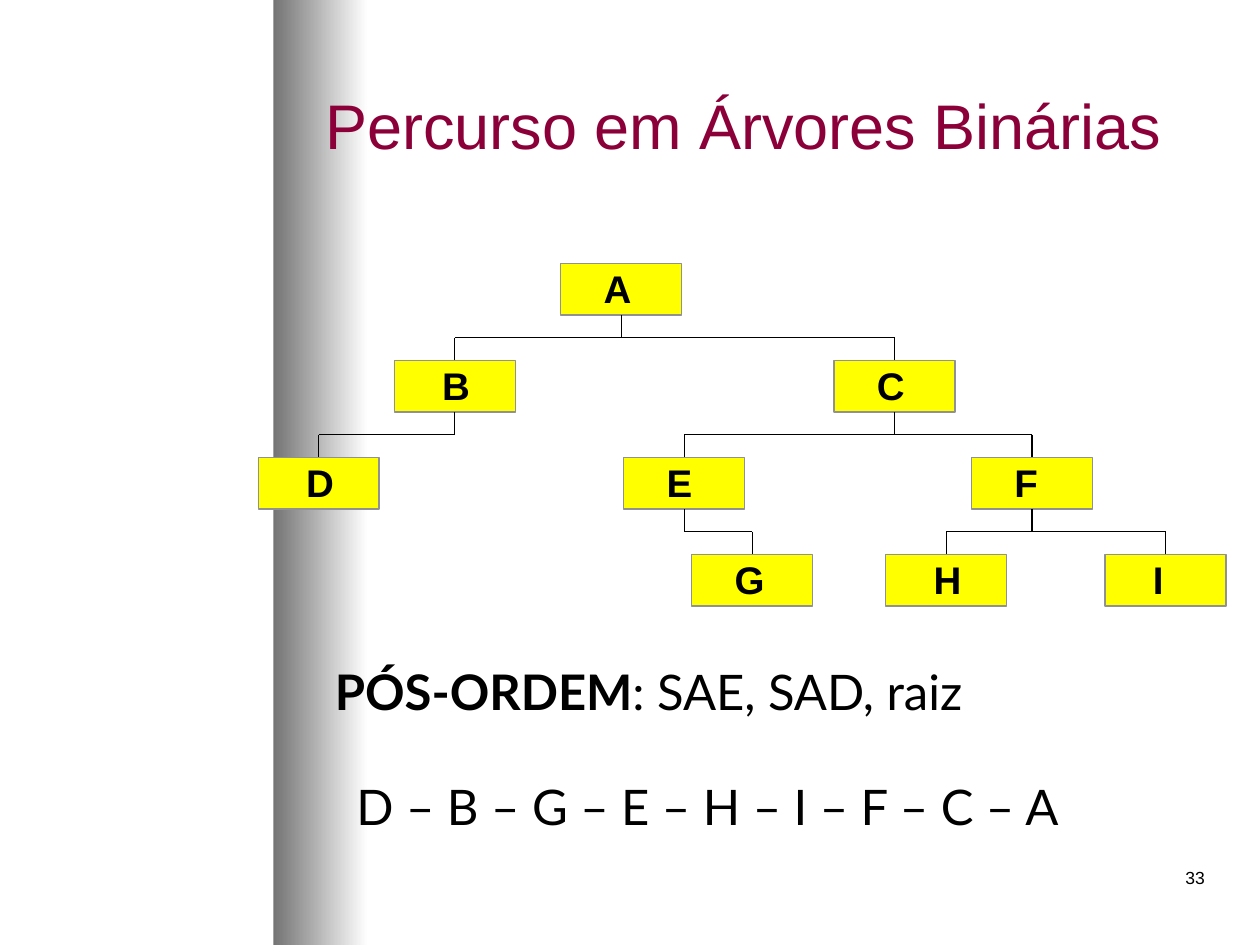
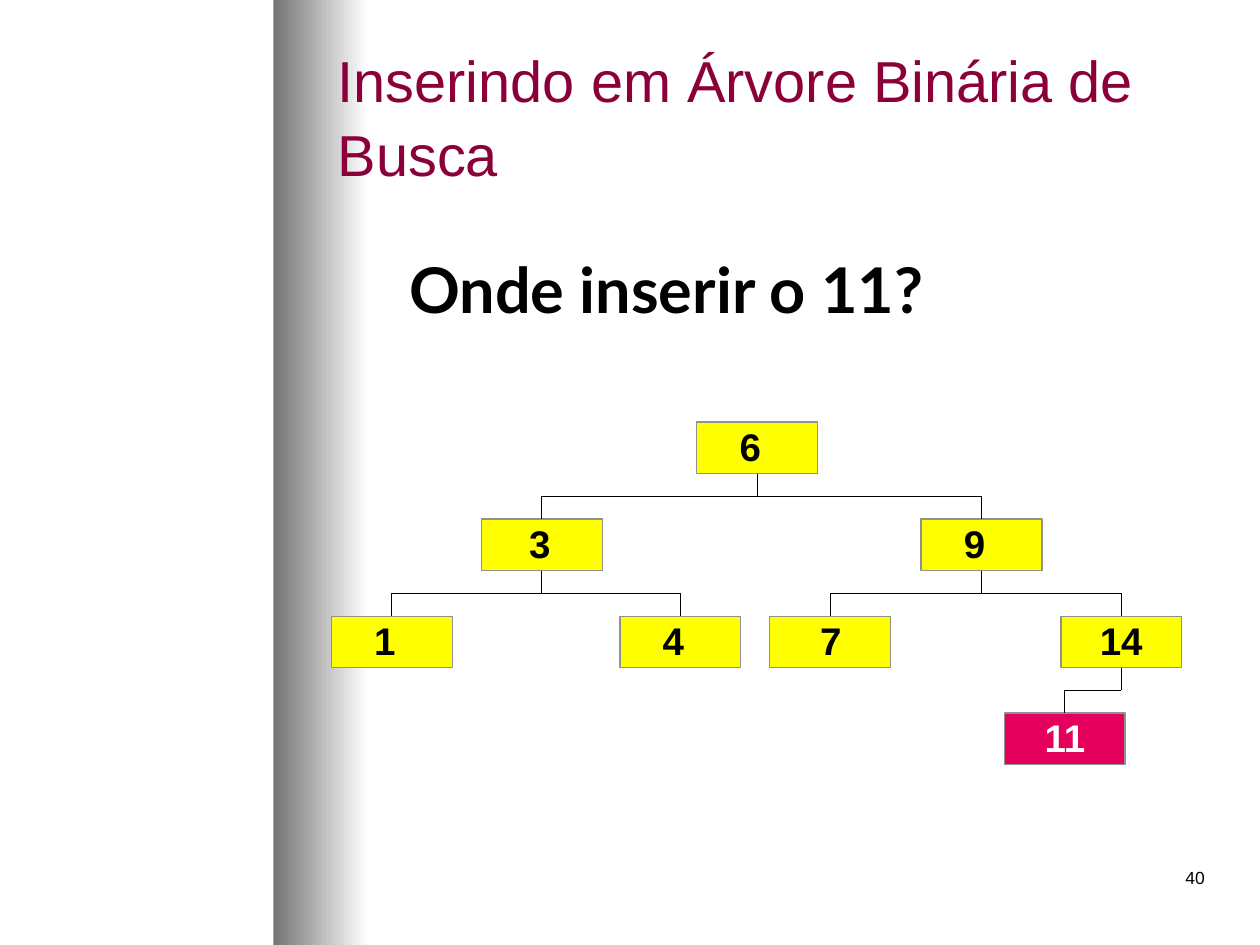
from dataclasses import dataclass

import lxml.etree
import pptx
import pptx.dml.color
import pptx.enum.shapes
import pptx.enum.text
import pptx.oxml.ns
import pptx.util

Inches = pptx.util.Inches
PP_ALIGN = pptx.enum.text.PP_ALIGN
ANCHOR = pptx.enum.text.MSO_ANCHOR


@dataclass(frozen=True)
class Theme:
    """Colours, fonts and sizes shared by the slides."""
    ink: str = "000000"
    paper: str = "FFFFFF"
    title: str = "8C0039"
    band: str = "747474"
    node: str = "FFFF00"
    new_node: str = "E4005C"
    node_line: str = "919191"
    heading_font: str = "Arial"
    body_font: str = "Lato"
    title_size: int = 36
    long_title_size: int = 33
    question_size: int = 36
    body_size: int = 28
    node_size: int = 22
    number_size: int = 10
    line_width: float = 0.75
    node_width: float = 0.96
    node_height: float = 0.41
    level_step: float = 0.77


@dataclass(frozen=True)
class Box:
    """A region in inches."""
    left: float
    top: float
    width: float
    height: float

    def lengths(self):
        """Return the region as lengths."""
        return [Inches(value) for value in (self.left, self.top, self.width, self.height)]


@dataclass(frozen=True)
class Node:
    """A tree node: its place in the tree, its parent and its text inset."""
    label: str
    left: float
    level: int
    parent: str = ""
    inset: float = 0.34
    is_new: bool = False


THEME = Theme()
PAGE = Box(0, 0, 10, 7.5)

TRAVERSAL_NODES = [
    Node("A", 2.4, 0),
    Node("B", 1.08, 1, "A", 0.38),
    Node("C", 4.57, 1, "A"),
    Node("D", 0, 2, "B", 0.38),
    Node("E", 2.9, 2, "C"),
    Node("F", 5.66, 2, "C"),
    Node("G", 3.44, 3, "E"),
    Node("H", 4.98, 3, "F", 0.38),
    Node("I", 6.72, 3, "F", 0.38),
]
SEARCH_NODES = [
    Node("6", 2.9, 0),
    Node("3", 1.19, 1, "6", 0.38),
    Node("9", 4.68, 1, "6"),
    Node("1", 0, 2, "3"),
    Node("4", 2.29, 2, "3"),
    Node("7", 3.48, 2, "9", 0.4),
    Node("14", 5.79, 2, "9", 0.31),
    Node("11", 5.34, 3, "14", 0.32, is_new=True),
]


def rgb(value):
    """Turn a hexadecimal string into a colour."""
    return pptx.dml.color.RGBColor.from_string(value)


def write_text(frame, text, *, size, font=THEME.heading_font, color=THEME.ink, bold=False,
               bold_lead="", align=PP_ALIGN.LEFT, anchor=ANCHOR.TOP,
               insets=(0.1, 0.05), spacing=None):
    """Write one paragraph, with an optional bold lead, into a text frame."""
    frame.word_wrap = True
    frame.auto_size = pptx.enum.text.MSO_AUTO_SIZE.NONE
    frame.vertical_anchor = anchor
    frame.margin_left, frame.margin_top = map(Inches, insets)
    frame.margin_right = Inches(min(insets[0], 0.1))
    frame.margin_bottom = Inches(insets[1])
    paragraph = frame.paragraphs[0]
    paragraph.alignment = align
    if spacing:
        paragraph.line_spacing = spacing
    for content, is_bold in ((bold_lead, True), (text, bold)):
        if content:
            run = paragraph.add_run()
            run.text = content
            run.font.name = font
            run.font.size = pptx.util.Pt(size)
            run.font.bold = is_bold
            run.font.color.rgb = rgb(color)


def add_text(slide, box, text, **text_format):
    """Add a formatted text box."""
    write_text(slide.shapes.add_textbox(*box.lengths()).text_frame, text, **text_format)


def add_rectangle(slide, box):
    """Add a rectangle without shadow."""
    shape = slide.shapes.add_shape(pptx.enum.shapes.MSO_SHAPE.RECTANGLE, *box.lengths())
    shape.shadow.inherit = False
    return shape


def add_line(slide, start, end):
    """Add a thin straight connector between two points."""
    connector = slide.shapes.add_connector(
        pptx.enum.shapes.MSO_CONNECTOR.STRAIGHT, *start, *end)
    connector.line.color.rgb = rgb(THEME.ink)
    connector.line.width = pptx.util.Pt(THEME.line_width)
    properties = connector._element.spPr
    lxml.etree.SubElement(properties, pptx.oxml.ns.qn("a:effectLst"))
    return connector


def add_band(slide, box):
    """Draw the grey band that fades to the right."""
    band = add_rectangle(slide, box)
    band.line.fill.background()
    band.fill.gradient()
    band.fill.gradient_angle = 0
    stops = band.fill.gradient_stops
    for stop, position, color in zip(stops, (0, 1), (THEME.band, THEME.paper)):
        stop.position = position
        stop.color.rgb = rgb(color)


def add_frame(presentation, title, number, title_box, **title_format):
    """Add a slide with its band, title and page number."""
    slide = presentation.slides.add_slide(presentation.slide_layouts[5])
    slide.background.fill.solid()
    slide.background.fill.fore_color.rgb = rgb(THEME.paper)
    placeholder = slide.shapes.title
    placeholder.left, placeholder.top, placeholder.width, placeholder.height = title_box.lengths()
    write_text(placeholder.text_frame, title, color=THEME.title,
               anchor=ANCHOR.MIDDLE, **title_format)
    add_band(slide, Box(2.17, PAGE.top, 0.75, PAGE.height))
    slide.shapes._spTree.remove(placeholder._element)
    slide.shapes._spTree.append(placeholder._element)
    add_text(slide, Box(PAGE.width - 2.42, PAGE.height - 0.67, 2.08, 0.5), str(number),
             size=THEME.number_size, align=PP_ALIGN.RIGHT)
    return slide


def add_node(slide, tree_box, node):
    """Draw one node of a tree."""
    shape = add_rectangle(slide, Box(
        tree_box.left + node.left, tree_box.top + node.level * THEME.level_step,
        THEME.node_width, THEME.node_height))
    shape.fill.solid()
    shape.fill.fore_color.rgb = rgb(THEME.new_node if node.is_new else THEME.node)
    shape.line.color.rgb = rgb(THEME.node_line)
    shape.line.width = pptx.util.Pt(THEME.line_width)
    write_text(shape.text_frame, node.label, size=THEME.node_size, bold=True,
               color=THEME.paper if node.is_new else THEME.ink, insets=(node.inset, 0.01))
    return shape


def add_tree(slide, box, nodes):
    """Draw the nodes, one trunk below each parent and one branch to each child."""
    shapes = {node.label: add_node(slide, box, node) for node in nodes}
    parents_with_trunk = set()
    for node in nodes:
        if not node.parent:
            continue
        parent, child = shapes[node.parent], shapes[node.label]
        parent_x = parent.left + parent.width // 2
        child_x = child.left + child.width // 2
        parent_bottom = parent.top + parent.height
        branch_y = (parent_bottom + child.top) // 2
        if node.parent not in parents_with_trunk:
            trunk = add_line(slide, (parent_x, parent_bottom), (parent_x, branch_y))
            trunk.begin_connect(parent, 2)
            parents_with_trunk.add(node.parent)
        add_line(slide, (parent_x, branch_y), (child_x, branch_y))
        drop = add_line(slide, (child_x, branch_y), (child_x, child.top))
        drop.end_connect(child, 0)


def add_traversal_slide(presentation):
    """Build the slide on post-order traversal."""
    slide = add_frame(presentation, "Percurso em Árvores Binárias", 33,
                      Box(2.48, 0.36, 7.02, 1.25), size=THEME.title_size)
    add_tree(slide, Box(2.05, 2.09, 7.68, 2.72), TRAVERSAL_NODES)
    add_text(slide, Box(2.56, 5.2, 7.17, 0.75), ": SAE, SAD, raiz", bold_lead="PÓS-ORDEM",
             size=THEME.body_size, font=THEME.body_font)
    add_text(slide, Box(2.73, 6.11, 6.44, 0.75), "D – B – G – E – H – I – F – C – A",
             size=THEME.body_size, font=THEME.body_font)


def add_insertion_slide(presentation):
    """Build the slide on insertion into a search tree."""
    slide = add_frame(presentation, "Inserindo em Árvore Binária de Busca", 40,
                      Box(2.58, 0.28, 7.15, 1.25), size=THEME.long_title_size, spacing=1.07)
    add_text(slide, Box(3.15, 1.94, 5.6, 0.94), "Onde inserir o 11?",
             size=THEME.question_size, font=THEME.body_font, bold=True)
    add_tree(slide, Box(2.63, 3.35, 6.75, 2.72), SEARCH_NODES)


def main():
    """Build and save the presentation."""
    presentation = pptx.Presentation()
    presentation.slide_width = Inches(PAGE.width)
    presentation.slide_height = Inches(PAGE.height)
    add_traversal_slide(presentation)
    add_insertion_slide(presentation)
    presentation.save("out.pptx")


if __name__ == "__main__":
    main()
